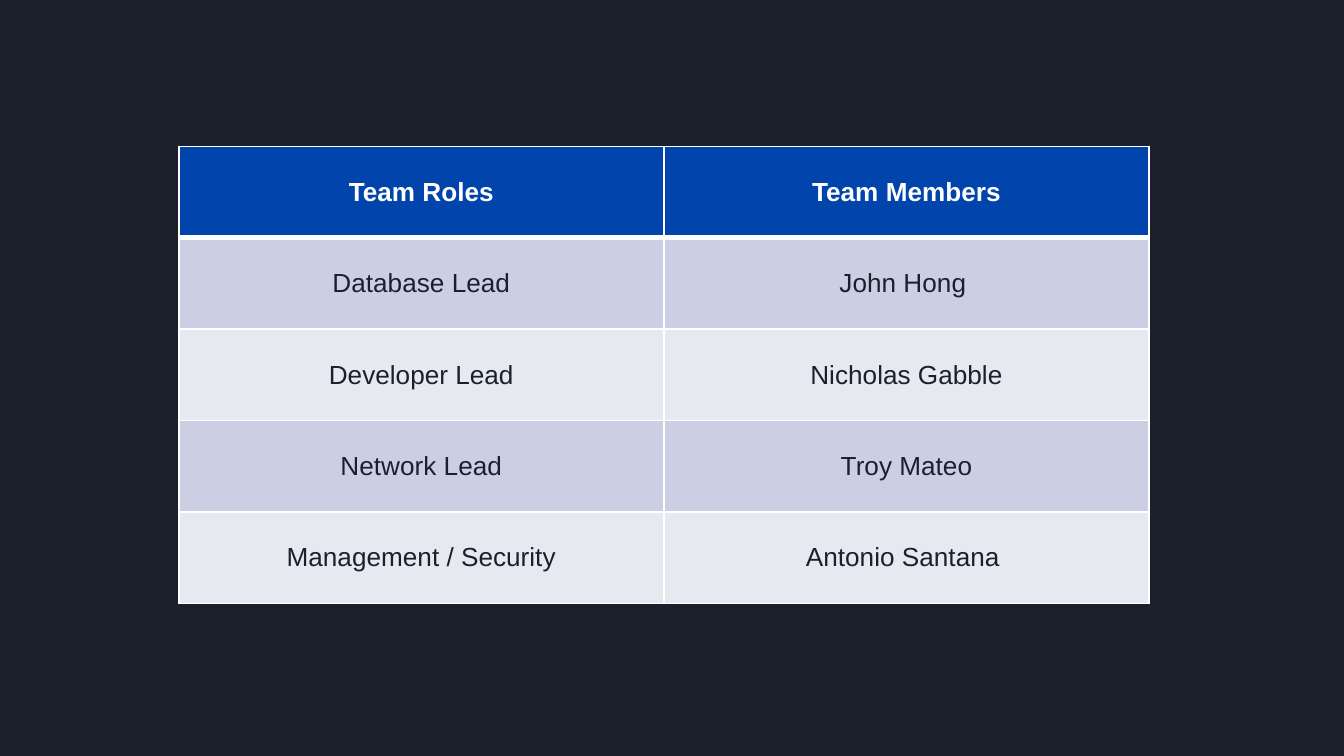
from lxml.etree import SubElement
from pptx import Presentation
from pptx.dml.color import RGBColor as RGB
from pptx.enum.text import MSO_ANCHOR as ANCHOR, PP_ALIGN as ALIGN
from pptx.oxml.ns import qn
from pptx.util import Inches, Pt

NAVY, BLUE, WHITE = "1B212C", "0145AC", "FFFFFF"
BANDS = ["CCCFE3", "E7E9F1"]
TEAM = [
    ("Team Roles", "Team Members"),
    ("Database Lead", "John Hong "),
    ("Developer Lead", "Nicholas Gabble"),
    ("Network Lead", "Troy Mateo"),
    ("Management / Security", "Antonio Santana "),
]
COL_W, ROW_H = Inches(3.61), Inches(0.68)


def paint(fill, color):
    fill.solid()
    fill.fore_color.rgb = RGB.from_string(color)


def write_cell(cell, text, *, fill, color, bold=False, top=1, bottom=1):
    """Fill one cell; top and bottom are border widths in points."""
    cell.vertical_anchor = ANCHOR.MIDDLE
    p = cell.text_frame.paragraphs[0]
    p.alignment = ALIGN.CENTER
    r = p.add_run()
    r.text = text
    r.font.name, r.font.size, r.font.bold = "Arial", Pt(14), bold
    r.font.color.rgb = RGB.from_string(color)

    # Borders must come before the fill in the cell properties
    tc_pr = cell._tc.get_or_add_tcPr()
    for side, width in zip("LRTB", (1, 1, top, bottom)):
        ln = SubElement(tc_pr, qn(f"a:ln{side}"), w=str(Pt(width)))
        solid = SubElement(ln, qn("a:solidFill"))
        SubElement(solid, qn("a:srgbClr"), val=WHITE)
    paint(cell.fill, fill)


prs = Presentation()
prs.slide_width = Inches(10)
prs.slide_height = prs.slide_width * 9 // 16
s = prs.slides.add_slide(prs.slide_layouts[6])
paint(s.background.fill, NAVY)

table = s.shapes.add_table(len(TEAM), 2, Inches(1.33), Inches(1.09),
                           2 * COL_W, len(TEAM) * ROW_H).table
for col in table.columns:
    col.width = COL_W
for i, texts in enumerate(TEAM):
    table.rows[i].height = ROW_H
    if i == 0:
        look = dict(fill=BLUE, color=WHITE, bold=True, bottom=3)
    else:
        look = dict(fill=BANDS[(i - 1) % 2], color=NAVY, top=3 if i == 1 else 1)
    for j, text in enumerate(texts):
        write_cell(table.cell(i, j), text, **look)

prs.save("out.pptx")
